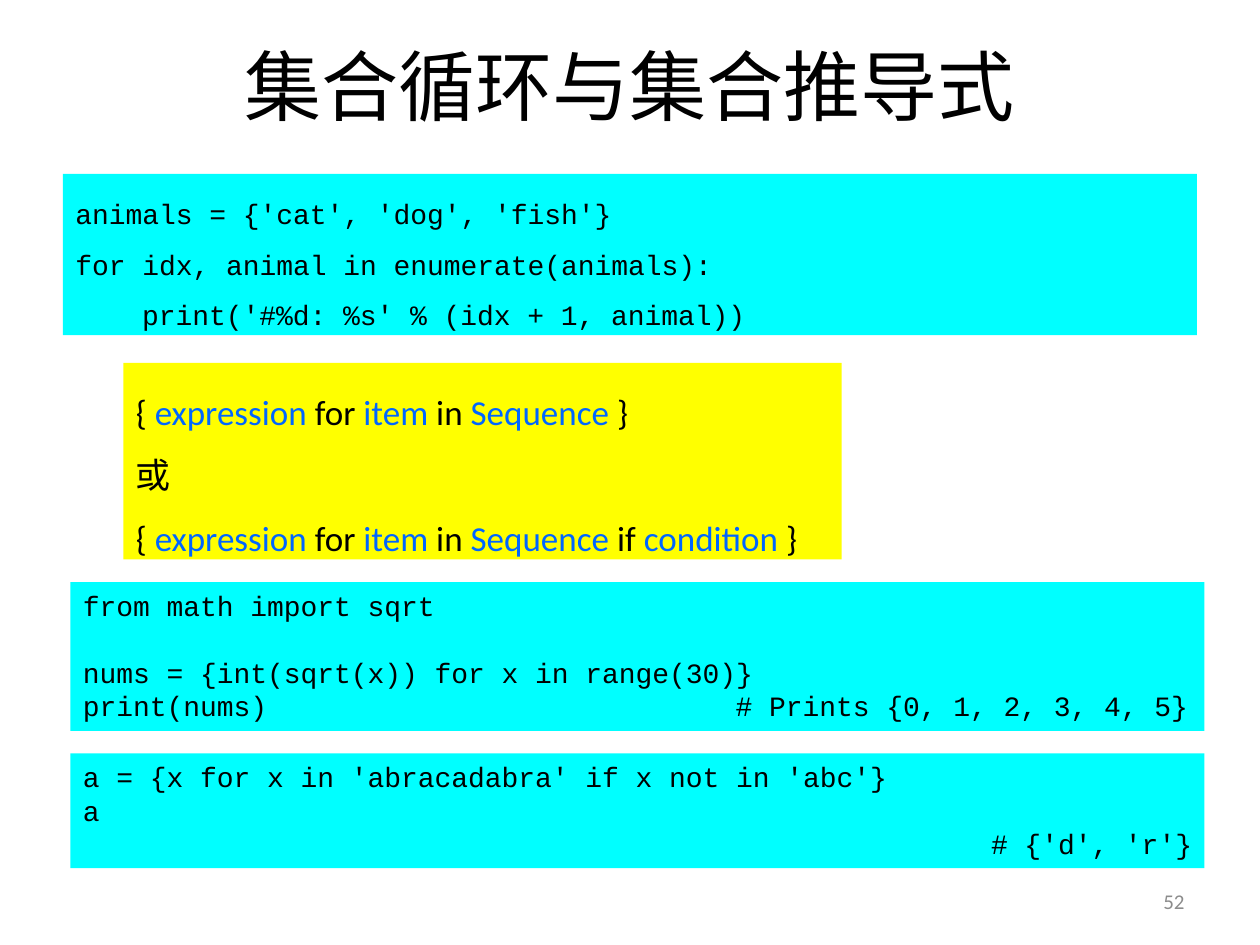
from lxml.etree import SubElement
from pptx import Presentation
from pptx.dml.color import RGBColor
from pptx.enum.shapes import MSO_SHAPE
from pptx.enum.text import MSO_ANCHOR, MSO_AUTO_SIZE, PP_ALIGN
from pptx.oxml.ns import qn
from pptx.util import Inches, Pt


def rgb(value):
    return RGBColor.from_string(value)


def write(sp, paragraphs, size, font, tf_format, p_format):
    tf = sp.text_frame
    for name, value in tf_format.items():
        setattr(tf, name, value)
    for i, (runs, extra) in enumerate(paragraphs):
        p = tf.paragraphs[0] if i == 0 else tf.add_paragraph()
        for name, value in {**p_format, **extra}.items():
            if name == "indent":
                p._p.get_or_add_pPr().set("marL", str(value))
            elif name == "tab":
                tabs = SubElement(p._p.get_or_add_pPr(), qn("a:tabLst"))
                SubElement(tabs, qn("a:tab"), pos=str(value), algn="l")
            else:
                setattr(p, name, value)
        for text, color in runs:
            r = p.add_run()
            r.text = text
            for name, value in {"size": Pt(size), "name": font}.items():
                setattr(r.font, name, value)
            r.font.color.rgb = rgb(color)


BLACK, BLUE, GREY = "000000", "0066FF", "8C8C8C"
CYAN, YELLOW = "00FFFF", "FFFF00"
LEFT = {"alignment": PP_ALIGN.LEFT}
LOOSE = {**LEFT, "line_spacing": 1.5}

prs = Presentation()
prs.slide_width, prs.slide_height = Inches(10), Inches(7.5)
s = prs.slides.add_slide(prs.slide_layouts[6])

labels = [
    ((0.5, 0.05, 9, 1.25), "集合循环与集合推导式", 44, "Arial", BLACK, PP_ALIGN.CENTER),
    ((7.17, 6.95, 2.33, 0.4), "52", 12, "Calibri", GREY, PP_ALIGN.RIGHT),
]
for at, text, size, font, color, align in labels:
    sp = s.shapes.add_textbox(*map(Inches, at))
    write(sp, [([(text, color)], {})], size, font,
          {"word_wrap": True, "vertical_anchor": MSO_ANCHOR.MIDDLE}, {"alignment": align})

clause = [("{ ", BLACK), ("expression", BLUE), (" for ", BLACK), ("item", BLUE),
          (" in ", BLACK), ("Sequence", BLUE)]
syntax = [
    (clause + [(" }", BLACK)], {}),
    ([("或", BLACK)], {}),
    (clause + [(" if ", BLACK), ("condition ", BLUE), ("}", BLACK)], {}),
]
loop = [
    ("animals = {'cat', 'dog', 'fish'}", {}),
    ("for idx, animal in enumerate(animals):", {}),
    ("print('#%d: %s' % (idx + 1, animal))", {"indent": Inches(0.53)}),
]
roots = [
    ("from math import sqrt", {"space_after": Pt(19)}),
    ("nums = {int(sqrt(x)) for x in range(30)}", {}),
    ("print(nums)\t# Prints {0, 1, 2, 3, 4, 5}", {"tab": Inches(5.18)}),
]
letters = [
    ("a = {x for x in 'abracadabra' if x not in 'abc'}", {}),
    ("a", {}),
    ("# {'d', 'r'}", {"alignment": PP_ALIGN.RIGHT}),
]
loop, roots, letters = [
    [([(text, BLACK)], extra) for text, extra in code] for code in (loop, roots, letters)
]

boxes = [
    ((0.56, 4.62, 9, 1.18), CYAN, roots, 16, "Courier New", True, LEFT),
    ((0.5, 1.38, 9, 1.28), CYAN, loop, 16, "Courier New", True, LOOSE),
    ((0.98, 2.88, 5.7, 1.56), YELLOW, syntax, 20, "Calibri", False, LOOSE),
    ((0.56, 5.98, 9, 0.91), CYAN, letters, 16, "Courier New", True, LEFT),
]
for at, fill, paragraphs, size, font, wrap, p_format in boxes:
    sp = s.shapes.add_shape(MSO_SHAPE.RECTANGLE, *map(Inches, at))
    sp.shadow.inherit = False
    sp.fill.solid()
    sp.fill.fore_color.rgb = rgb(fill)
    sp.line.fill.background()
    write(sp, paragraphs, size, font,
          {"word_wrap": wrap, "vertical_anchor": MSO_ANCHOR.TOP,
           "auto_size": MSO_AUTO_SIZE.SHAPE_TO_FIT_TEXT}, p_format)

prs.save("out.pptx")
